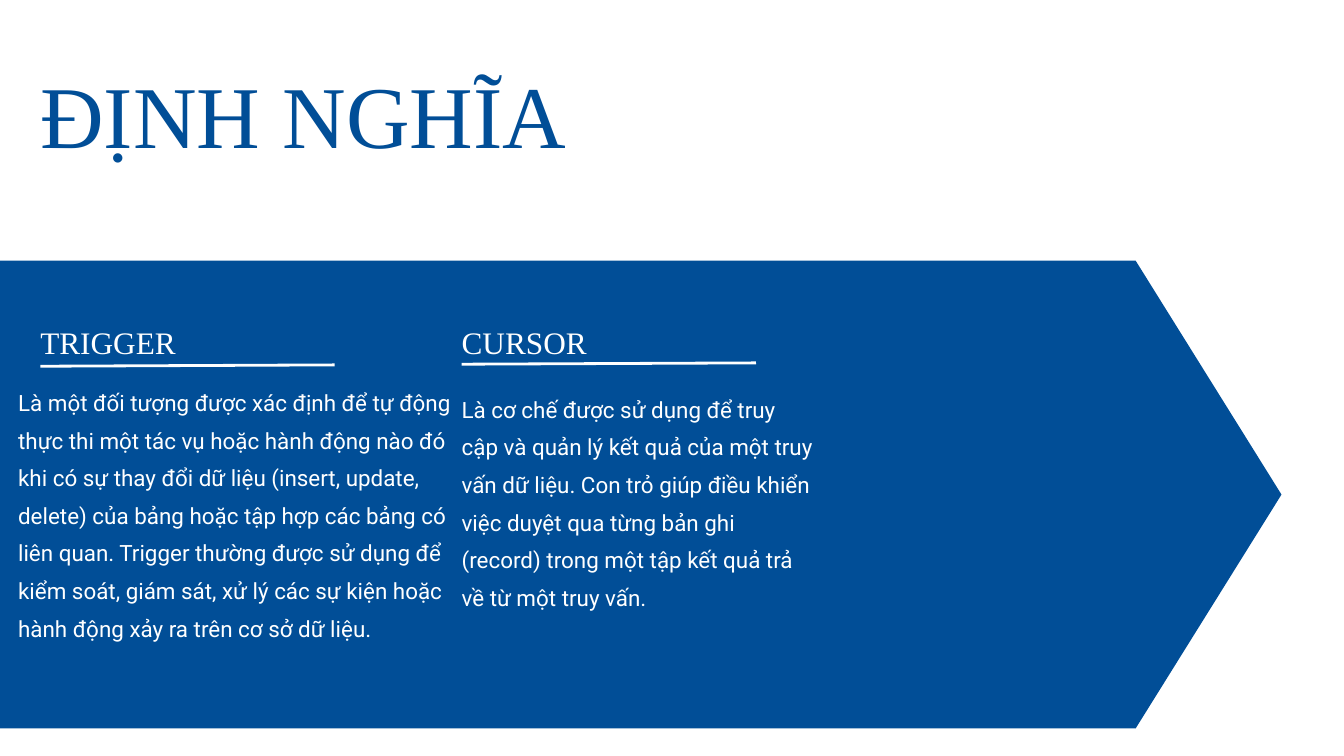
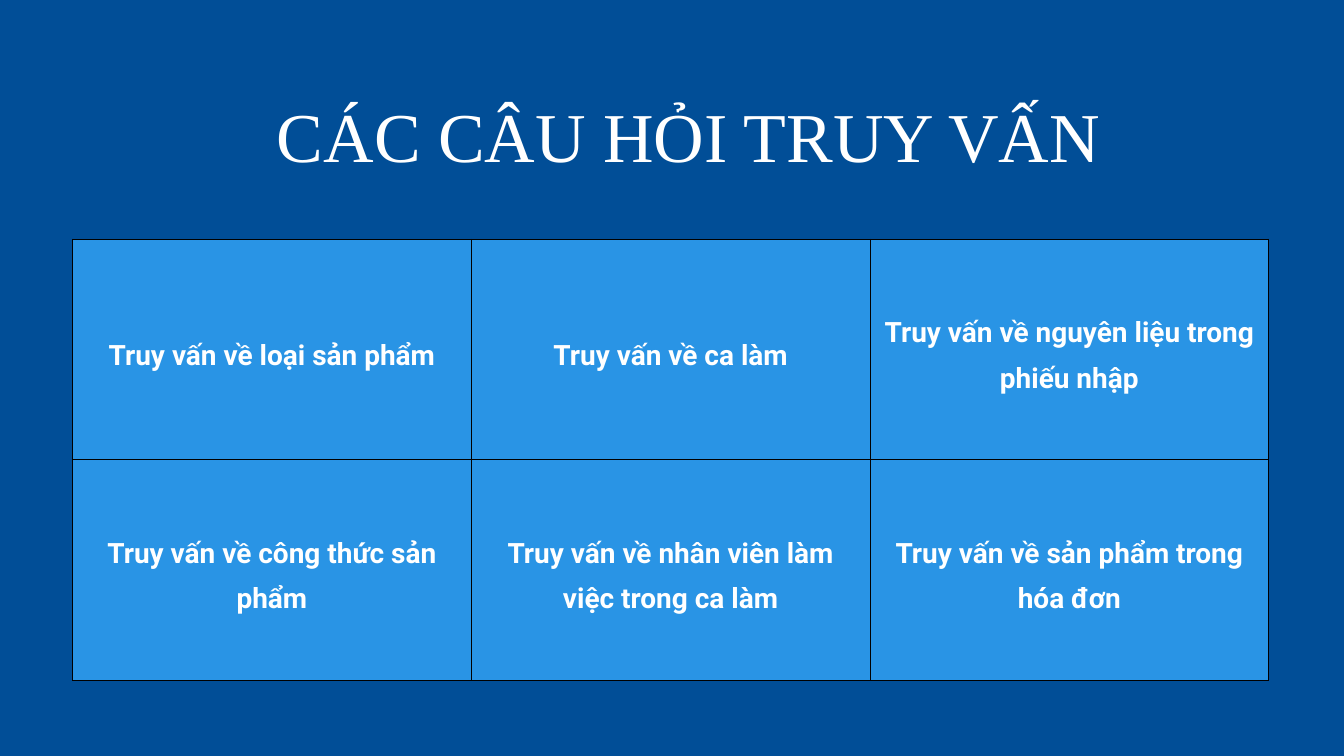
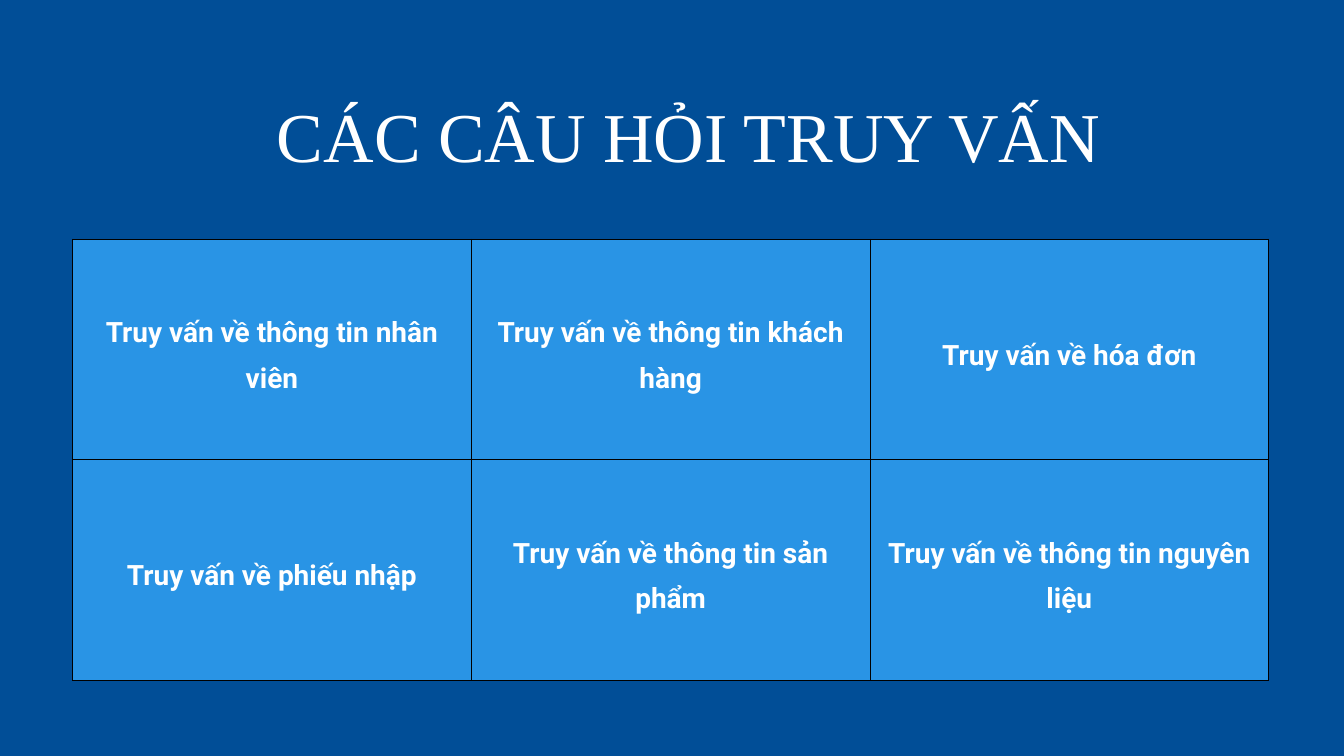
"""Three slides on triggers, cursors and query questions."""
from dataclasses import dataclass

from lxml.etree import SubElement
from pptx import Presentation
from pptx.dml.color import RGBColor
from pptx.enum.shapes import MSO_CONNECTOR as Connector
from pptx.enum.text import MSO_ANCHOR as Anchor
from pptx.enum.text import MSO_AUTO_SIZE as AutoSize
from pptx.enum.text import PP_ALIGN as Align
from pptx.oxml.ns import qn
from pptx.slide import Slide
from pptx.text.text import TextFrame
from pptx.util import Emu, Inches, Pt

BLUE = RGBColor(0x01, 0x4E, 0x97)
SKY = RGBColor(0x29, 0x94, 0xE5)
WHITE = RGBColor(0xFF, 0xFF, 0xFF)
BLACK = RGBColor(0x00, 0x00, 0x00)
SERIF = "Times New Roman"
SANS = "Roboto"
UNIT = Inches(0.25)
COLS, ROWS = 80, 45
TITLE_ONLY = 5
CELL_MARGIN = Inches(0.21)


@dataclass(frozen=True)
class Box:
    """A rectangle in grid columns and rows."""
    col: float
    row: float
    cols: float
    rows: float

    def emu(self) -> tuple[Emu, Emu, Emu, Emu]:
        return g(self.col), g(self.row), g(self.cols), g(self.rows)


@dataclass(frozen=True)
class Style:
    """How a paragraph looks."""
    font: str
    size: float
    spacing: float
    color: RGBColor = WHITE
    align: Align = Align.LEFT
    bold: bool = False


@dataclass(frozen=True)
class Definition:
    """A term with its underline and explanation."""
    term: str
    text: str
    col: float
    rule_row: float
    body: Box


TERM = Style(SERIF, 33.5, 1.2)
BODY = Style(SANS, 24, 1.4)
CELL = Style(SANS, 30, 1.4, align=Align.CENTER, bold=True)
DEFINITION_TITLE = Style(SERIF, 94.4, 1.2, BLUE)
QUERY_TITLE = Style(SERIF, 75, 1.2, align=Align.CENTER)

DEFINITION_TITLE_BOX = Box(2.4, 2.36, 47.44, 7.64)
QUERY_TITLE_BOX = Box(12.04, 4.48, 57.88, 6.04)
TABLE_BOX = Box(4.32, 14.24, 71.2, 26.24)
ARROW = [(0, 15.52), (67.6, 15.52), (76.28, 29.44), (67.6, 43.36), (0, 43.36)]
TERM_ROW, TERM_COLS, TERM_ROWS = 18.8, 21.04, 2.72
RULE_COLS, RULE_RISE = 17.52, 0.08

DEFINITIONS = [
    Definition(
        "TRIGGER",
        "Là một đối tượng được xác định để tự động thực thi một tác vụ hoặc "
        "hành động nào đó khi có sự thay đổi dữ liệu (insert, update, delete) "
        "của bảng hoặc tập hợp các bảng có liên quan. Trigger thường được sử "
        "dụng để kiểm soát, giám sát, xử lý các sự kiện hoặc hành động xảy ra "
        "trên cơ sở dữ liệu.",
        2.4, 21.8, Box(1.08, 22.52, 25.76, 18.08)),
    Definition(
        "CURSOR",
        "Là cơ chế được sử dụng để truy cập và quản lý kết quả của một truy "
        "vấn dữ liệu. Con trỏ giúp điều khiển việc duyệt qua từng bản ghi "
        "(record) trong một tập kết quả trả về từ một truy vấn.",
        27.48, 21.68, Box(27.48, 22.92, 21.04, 13.56)),
]

QUERY_SLIDES = [
    [["Truy vấn về loại sản phẩm", "Truy vấn về ca làm",
      "Truy vấn về nguyên liệu trong phiếu nhập"],
     ["Truy vấn về công thức sản phẩm",
      "Truy vấn về nhân viên làm việc trong ca làm",
      "Truy vấn về sản phẩm trong hóa đơn"]],
    [["Truy vấn về thông tin nhân viên", "Truy vấn về thông tin khách hàng",
      "Truy vấn về hóa đơn"],
     ["Truy vấn về phiếu nhập", "Truy vấn về thông tin sản phẩm",
      "Truy vấn về thông tin nguyên liệu"]],
]


def g(units: float) -> Emu:
    return Emu(round(units * UNIT))


def write(tf: TextFrame, text: str, style: Style) -> None:
    p = tf.paragraphs[0]
    p.text = text
    p.alignment = style.align
    p.line_spacing = style.spacing
    p.font.name = style.font
    p.font.size = Pt(style.size)
    p.font.bold = style.bold
    p.font.color.rgb = style.color


def fill_box(tf: TextFrame, text: str, style: Style) -> None:
    tf.word_wrap = True
    tf.auto_size = AutoSize.NONE
    tf.vertical_anchor = Anchor.TOP
    tf.margin_left = tf.margin_right = tf.margin_top = tf.margin_bottom = 0
    write(tf, text, style)


def add_text(s: Slide, box: Box, text: str, style: Style) -> None:
    fill_box(s.shapes.add_textbox(*box.emu()).text_frame, text, style)


def add_slide(prs: Presentation, title: str, box: Box, style: Style,
              background: RGBColor) -> Slide:
    s = prs.slides.add_slide(prs.slide_layouts[TITLE_ONLY])
    s.background.fill.solid()
    s.background.fill.fore_color.rgb = background
    sp = s.shapes.title
    sp.left, sp.top, sp.width, sp.height = box.emu()
    fill_box(sp.text_frame, title, style)
    return s


def add_arrow(s: Slide) -> None:
    start, *rest = [(g(col), g(row)) for col, row in ARROW]
    builder = s.shapes.build_freeform(*start)
    builder.add_line_segments(rest, close=True)
    sp = builder.convert_to_shape()
    sp.shadow.inherit = False
    sp.fill.solid()
    sp.fill.fore_color.rgb = BLUE
    sp.line.fill.background()


def add_definition(s: Slide, d: Definition) -> None:
    add_text(s, Box(d.col, TERM_ROW, TERM_COLS, TERM_ROWS), d.term, TERM)
    add_text(s, d.body, d.text, BODY)
    rule = s.shapes.add_connector(
        Connector.STRAIGHT, g(d.col), g(d.rule_row),
        g(d.col + RULE_COLS), g(d.rule_row - RULE_RISE))
    rule.line.color.rgb = WHITE
    rule.line.width = Pt(3)
    SubElement(rule._element.spPr, qn("a:effectLst"))


def add_query_table(s: Slide, queries: list[list[str]]) -> None:
    table = s.shapes.add_table(
        len(queries), len(queries[0]), *TABLE_BOX.emu()).table
    table.first_row = table.horz_banding = False
    for cell, text in zip(table.iter_cells(), sum(queries, [])):
        cell.margin_left = cell.margin_right = CELL_MARGIN
        cell.margin_top = cell.margin_bottom = CELL_MARGIN
        cell.vertical_anchor = Anchor.MIDDLE
        tc_pr = cell._tc.get_or_add_tcPr()
        for side in ("lnL", "lnR", "lnT", "lnB"):
            ln = SubElement(tc_pr, qn(f"a:{side}"), w=str(Pt(0.75)))
            fill = SubElement(ln, qn("a:solidFill"))
            SubElement(fill, qn("a:srgbClr"), val=str(BLACK))
        cell.fill.solid()
        cell.fill.fore_color.rgb = SKY
        write(cell.text_frame, text, CELL)


def main() -> None:
    prs = Presentation()
    prs.slide_width, prs.slide_height = g(COLS), g(ROWS)
    s = add_slide(prs, "ĐỊNH NGHĨA", DEFINITION_TITLE_BOX, DEFINITION_TITLE, WHITE)
    add_arrow(s)
    for definition in DEFINITIONS:
        add_definition(s, definition)
    for queries in QUERY_SLIDES:
        s = add_slide(prs, "CÁC CÂU HỎI TRUY VẤN", QUERY_TITLE_BOX, QUERY_TITLE, BLUE)
        add_query_table(s, queries)
    prs.save("out.pptx")


if __name__ == "__main__":
    main()
